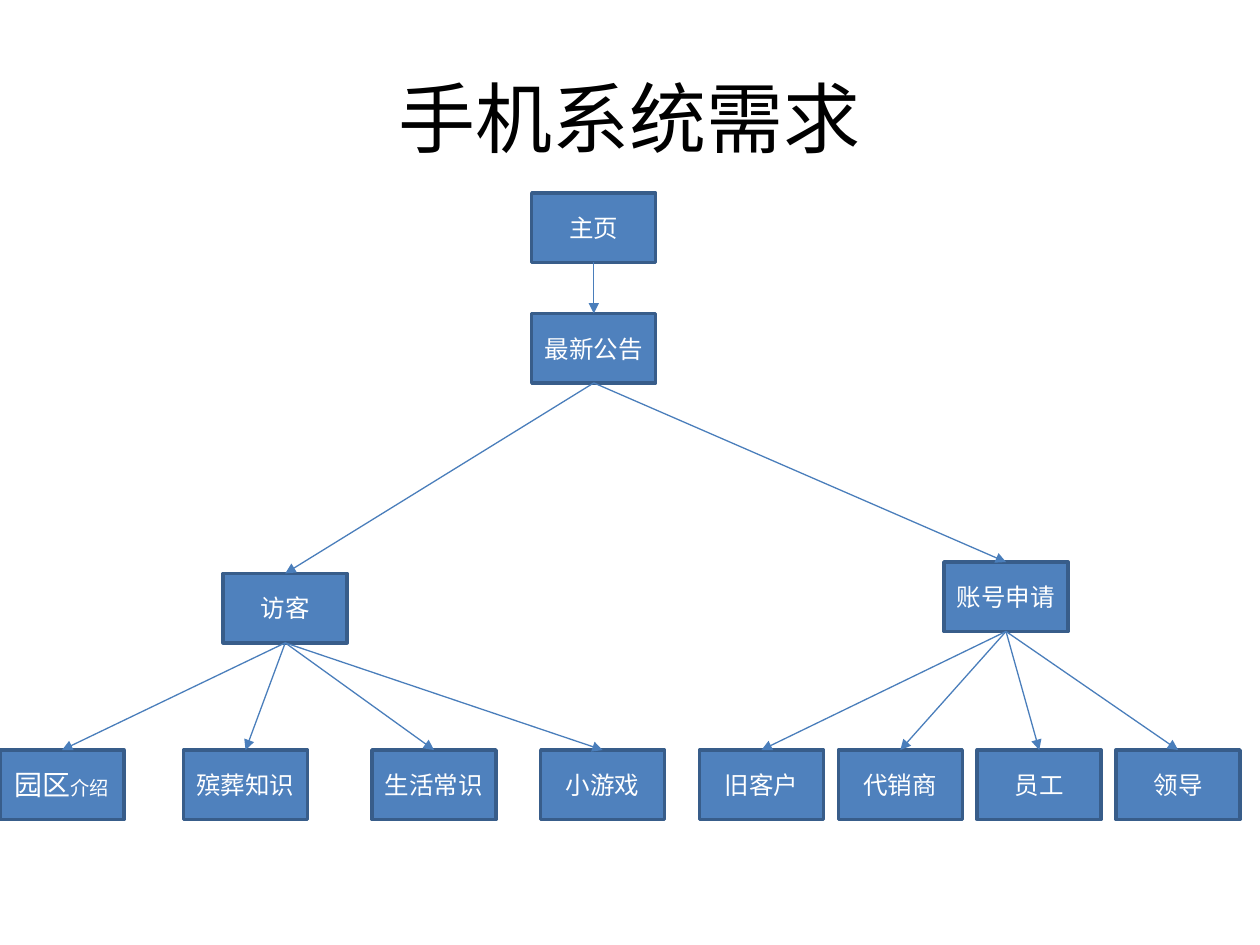
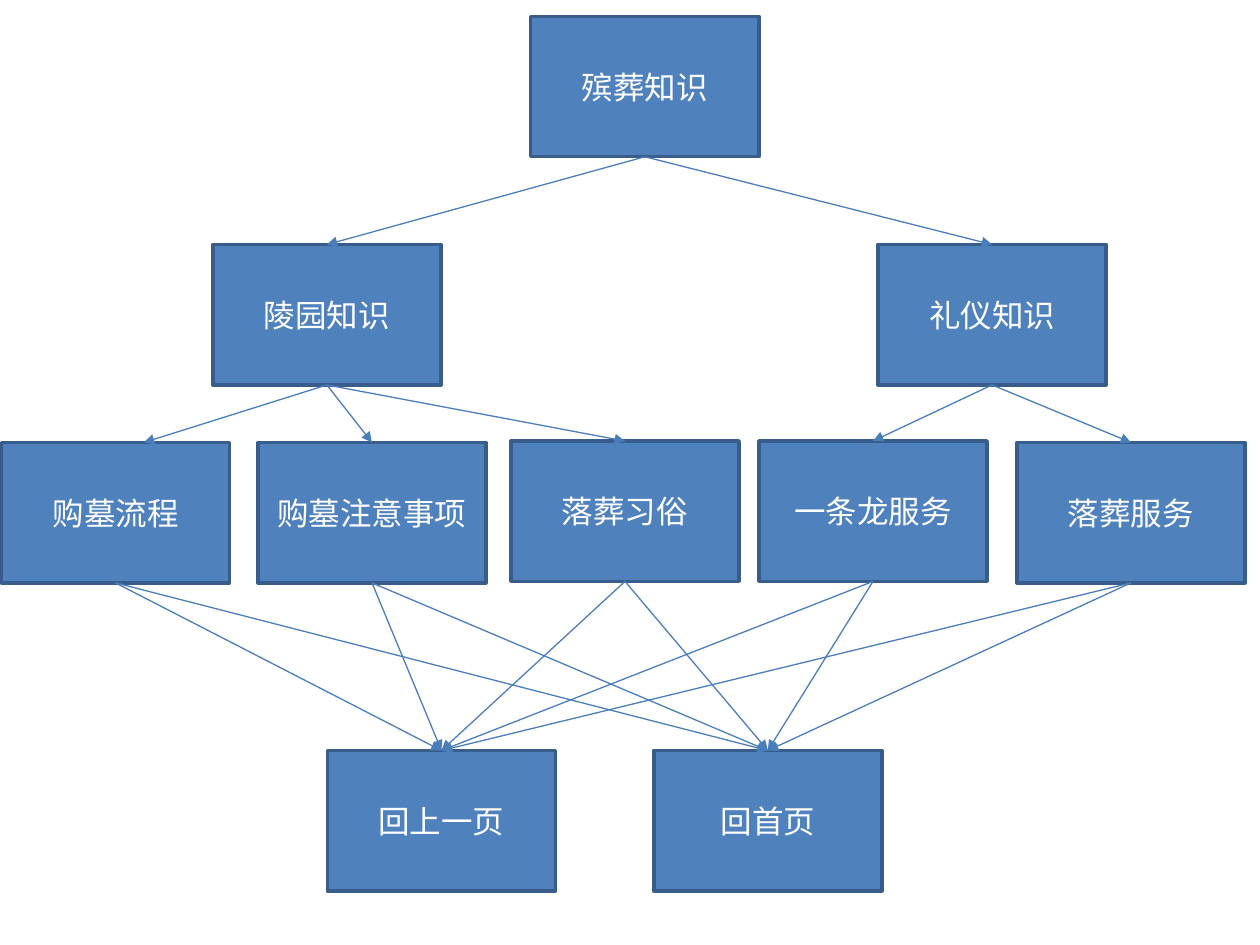
from lxml.etree import SubElement
from pptx import Presentation
from pptx.dml.color import RGBColor
from pptx.enum.shapes import MSO_CONNECTOR, MSO_SHAPE
from pptx.enum.text import MSO_ANCHOR, PP_ALIGN
from pptx.oxml.ns import qn
from pptx.util import Cm, Pt

BOX_FILL = RGBColor(0x4F, 0x81, 0xBD)
BOX_EDGE = RGBColor(0x38, 0x5D, 0x8A)
ARROW = RGBColor(0x4A, 0x7E, 0xBB)
WHITE = RGBColor(0xFF, 0xFF, 0xFF)
BLACK = RGBColor(0x00, 0x00, 0x00)
FONT = "Calibri"
TOP, BOTTOM = 0, 2
SMALL = (2.5, 1.4)
LARGE = (4.6, 2.83)


def add_box(slide, runs, left, top, size):
    box = slide.shapes.add_shape(
        MSO_SHAPE.RECTANGLE, Cm(left), Cm(top), Cm(size[0]), Cm(size[1]))
    box.shadow.inherit = False
    box.fill.solid()
    box.fill.fore_color.rgb = BOX_FILL
    box.line.color.rgb = BOX_EDGE
    box.line.width = Pt(2)
    frame = box.text_frame
    frame.word_wrap = True
    frame.margin_left = frame.margin_right = Cm(0.2)
    frame.vertical_anchor = MSO_ANCHOR.MIDDLE
    paragraph = frame.paragraphs[0]
    paragraph.alignment = PP_ALIGN.CENTER
    for text, points in runs:
        run = paragraph.add_run()
        run.text = text
        run.font.name = FONT
        run.font.size = Pt(points)
        run.font.color.rgb = WHITE
    return box


def add_arrow(slide, parent, child, end_x=None):
    arrow = slide.shapes.add_connector(
        MSO_CONNECTOR.STRAIGHT, 0, 0, end_x or 0, child.top)
    arrow.begin_connect(parent, BOTTOM)
    if end_x is None:
        arrow.end_connect(child, TOP)
    arrow.line.color.rgb = ARROW
    arrow.line.width = Pt(0.75)
    SubElement(arrow.line._get_or_add_ln(), qn("a:tailEnd"), type="triangle")
    SubElement(arrow._element.spPr, qn("a:effectLst"))


prs = Presentation()
prs.slide_width = Cm(25.4)
prs.slide_height = Cm(19.05)

system = prs.slides.add_slide(prs.slide_layouts[5])
title = system.shapes.title
title.left, title.top, title.width, title.height = Cm(1.27), Cm(0.76), Cm(22.86), Cm(3.18)
title.text_frame.vertical_anchor = MSO_ANCHOR.MIDDLE
heading = title.text_frame.paragraphs[0]
heading.alignment = PP_ALIGN.CENTER
heading_run = heading.add_run()
heading_run.text = "手机系统需求"
heading_run.font.name = FONT
heading_run.font.size = Pt(44)
heading_run.font.color.rgb = BLACK

home = add_box(system, [("主页", 14)], 10.72, 3.89, SMALL)
notice = add_box(system, [("最新公告", 14)], 10.72, 6.32, SMALL)
visitor = add_box(system, [("访客", 14)], 4.5, 11.56, SMALL)
account = add_box(system, [("账号申请", 14)], 19.03, 11.33, SMALL)
for parent, child in [(home, notice), (notice, visitor), (notice, account)]:
    add_arrow(system, parent, child)

visitor_pages = [
    ([("园区", 16), ("介绍", 11)], 0),
    ([("殡葬知识", 14)], 3.7),
    ([("生活常识", 14)], 7.5),
    ([("小游戏", 14)], 10.9),
]
for runs, left in visitor_pages:
    add_arrow(system, visitor, add_box(system, runs, left, 15.12, SMALL))

for i, role in enumerate(["旧客户", "代销商", "员工", "领导"]):
    add_arrow(system, account, add_box(system, [(role, 14)], 14.1 + 2.8 * i, 15.12, SMALL))

knowledge = prs.slides.add_slide(prs.slide_layouts[6])
funeral = add_box(knowledge, [("殡葬知识", 18)], 10.7, 0.33, LARGE)
cemetery = add_box(knowledge, [("陵园知识", 18)], 4.29, 4.93, LARGE)
etiquette = add_box(knowledge, [("礼仪知识", 18)], 17.7, 4.93, LARGE)
for branch in (cemetery, etiquette):
    add_arrow(knowledge, funeral, branch)

topics = [
    ("购墓流程", 0.03, 8.92, cemetery, Cm(2.9)),
    ("购墓注意事项", 5.2, 8.92, cemetery, None),
    ("落葬习俗", 10.3, 8.89, cemetery, None),
    ("一条龙服务", 15.3, 8.89, etiquette, None),
    ("落葬服务", 20.5, 8.92, etiquette, None),
]
topic_boxes = []
for text, left, top, branch, end_x in topics:
    topic = add_box(knowledge, [(text, 18)], left, top, LARGE)
    add_arrow(knowledge, branch, topic, end_x)
    topic_boxes.append(topic)

for text, left in [("回上一页", 6.6), ("回首页", 13.18)]:
    target = add_box(knowledge, [(text, 18)], left, 15.13, LARGE)
    for topic in topic_boxes:
        add_arrow(knowledge, topic, target)

prs.save("out.pptx")
